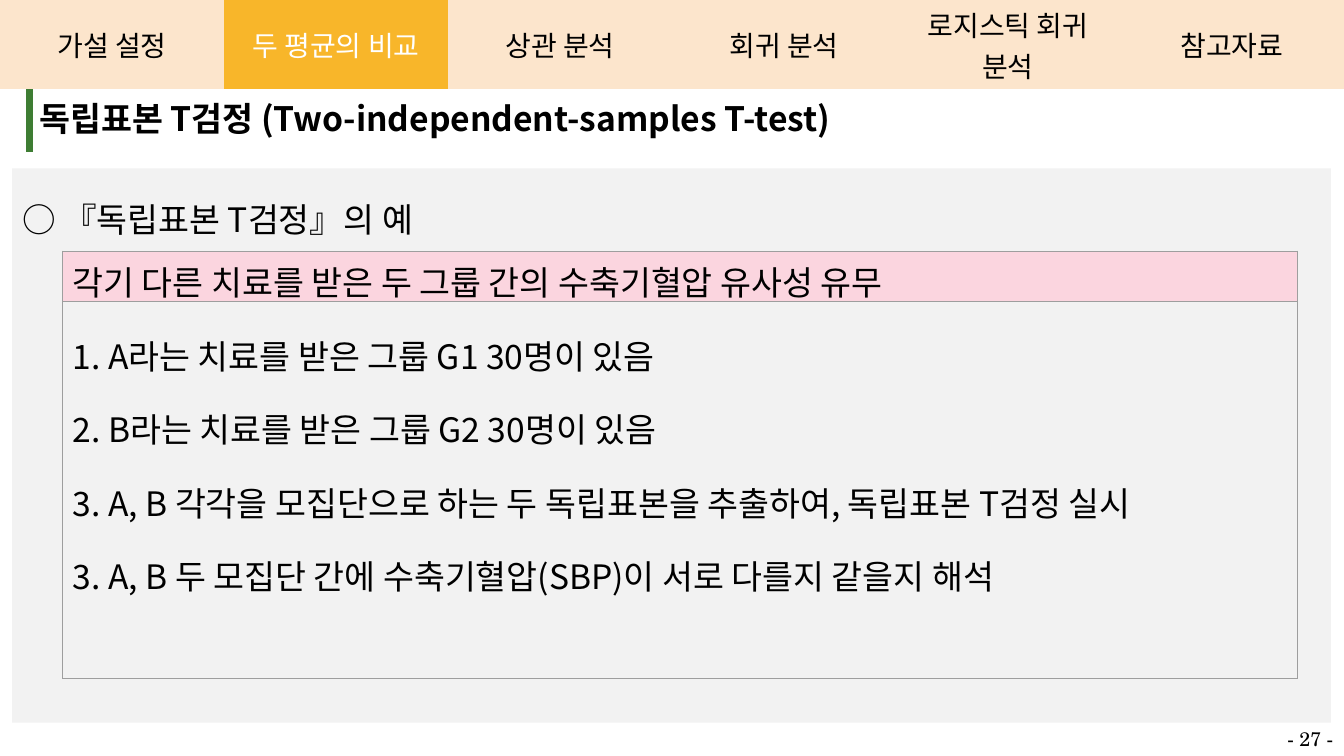
from lxml.etree import SubElement
from pptx import Presentation
from pptx.dml.color import RGBColor
from pptx.enum.shapes import MSO_SHAPE
from pptx.enum.text import MSO_ANCHOR, MSO_AUTO_SIZE, PP_ALIGN
from pptx.oxml.ns import qn
from pptx.util import Inches, Pt

THEME = {
    "font": "Noto Sans CJK KR", "number_font": "TeX Gyre Schola",
    "body": 24, "nav": 20, "number": 14,
    "ink": "000000", "white": "FFFFFF", "panel": "F2F2F2",
    "tab": "FCE5CC", "active": "F8B62A", "accent": "3E7D33",
    "pink": "FFC9D7", "grid": "9E9E9E",
}
NO_STYLE = "{2D5ABB26-0587-4C30-8999-92F81FD0307C}"
WIDTH, HEIGHT = 13.33, 7.5

deck = Presentation()
deck.slide_width, deck.slide_height = Inches(WIDTH), Inches(HEIGHT)
page = deck.slides.add_slide(deck.slide_layouts[6])


def write(frame, lines, size="body", color="ink", font="font", bold=False, margins=None, **para_format):
    for side, inset in zip(("left", "top", "right", "bottom"), margins or ()):
        setattr(frame, f"margin_{side}", Inches(inset))
    text = getattr(frame, "text_frame", frame)
    for index, line in enumerate(lines):
        para = text.paragraphs[0] if index == 0 else text.add_paragraph()
        for name, value in para_format.items():
            setattr(para, name, value)
        span = para.add_run()
        span.text = line
        style = {"size": Pt(THEME[size]), "name": THEME[font], "bold": bold}
        for name, value in style.items():
            setattr(span.font, name, value)
        span.font.color.rgb = RGBColor.from_string(THEME[color])
        SubElement(span.font._element, qn("a:ea"), typeface=THEME[font])


def add_grid(left, top, width, rows, columns=1, borders="", line="grid", points=0.75):
    frame = page.shapes.add_table(len(rows), columns, Inches(left), Inches(top),
                                  Inches(width), Inches(sum(rows)))
    table = frame.table
    table.first_row = table.horz_banding = False
    next(frame._element.iter(qn("a:tableStyleId"))).text = NO_STYLE
    for row, height in zip(table.rows, rows):
        row.height = Inches(height)
    for cell in table.iter_cells():
        properties = cell._tc.get_or_add_tcPr()
        for side in borders:
            edge = SubElement(properties, qn(f"a:ln{side}"), w=str(Pt(points)))
            fill = SubElement(edge, qn("a:solidFill"))
            SubElement(fill, qn("a:srgbClr"), val=THEME[line])
        cell.fill.background()
    return table


# Grey panel with its heading
panel = page.shapes.add_shape(MSO_SHAPE.RECTANGLE, Inches(0.12), Inches(1.67), Inches(13.08), Inches(5.5))
panel.shadow.inherit = False
panel.fill.solid()
panel.fill.fore_color.rgb = RGBColor.from_string(THEME["panel"])
panel.line.fill.background()
panel.text_frame.vertical_anchor = MSO_ANCHOR.TOP
panel.text_frame.word_wrap = True
write(panel.text_frame, ["○ 『독립표본 T검정』의 예"], margins=(0.1, 0.1, 0.1, 0.05),
      line_spacing=1.5, alignment=PP_ALIGN.LEFT)

# Slide title with a green bar on its left
title = add_grid(0.29, 0.82, 12.92, [0.6], borders="L", line="accent", points=6)
write(title.cell(0, 0), ["독립표본 T검정 (Two-independent-samples T-test)"], bold=True, margins=[0.1] * 4)

# Navigation tabs
tabs = ["가설 설정", "두 평균의 비교", "상관 분석", "회귀 분석", "로지스틱 회귀 분석", "참고자료"]
current = "두 평균의 비교"
navigation = add_grid(0, 0, WIDTH, [0.75], columns=len(tabs))
for cell, tab in zip(navigation.iter_cells(), tabs):
    cell.fill.solid()
    cell.fill.fore_color.rgb = RGBColor.from_string(THEME["active" if tab == current else "tab"])
    cell.vertical_anchor = MSO_ANCHOR.MIDDLE
    write(cell, [tab], size="nav", color="white" if tab == current else "ink",
          margins=[0.04] * 4, alignment=PP_ALIGN.CENTER)

# Page number
number = page.shapes.add_textbox(Inches(12.67), Inches(7.16), Inches(0.66), Inches(0.34))
number.text_frame.word_wrap = False
number.text_frame.auto_size = MSO_AUTO_SIZE.SHAPE_TO_FIT_TEXT
write(number.text_frame, ["- 27 -"], size="number", font="number_font")

# Worked example: question above, steps below
example = add_grid(0.62, 2.49, 12.25, [0.5, 3.74], borders="LRTB")
question, steps = example.iter_cells()
question.fill.solid()
question.fill.fore_color.rgb = RGBColor.from_string(THEME["pink"])
tint = next(question._tc.tcPr.find(qn("a:solidFill")).iter(qn("a:srgbClr")))
SubElement(tint, qn("a:alpha"), val="70000")
question.vertical_anchor = MSO_ANCHOR.MIDDLE
write(question, ["각기 다른 치료를 받은 두 그룹 간의 수축기혈압 유사성 유무"])
write(steps, [
    "1. A라는 치료를 받은 그룹 G1 30명이 있음",
    "2. B라는 치료를 받은 그룹 G2 30명이 있음",
    "3. A, B 각각을 모집단으로 하는 두 독립표본을 추출하여, 독립표본 T검정 실시",
    "3. A, B 두 모집단 간에 수축기혈압(SBP)이 서로 다를지 같을지 해석",
], line_spacing=1.5)

deck.save("out.pptx")
